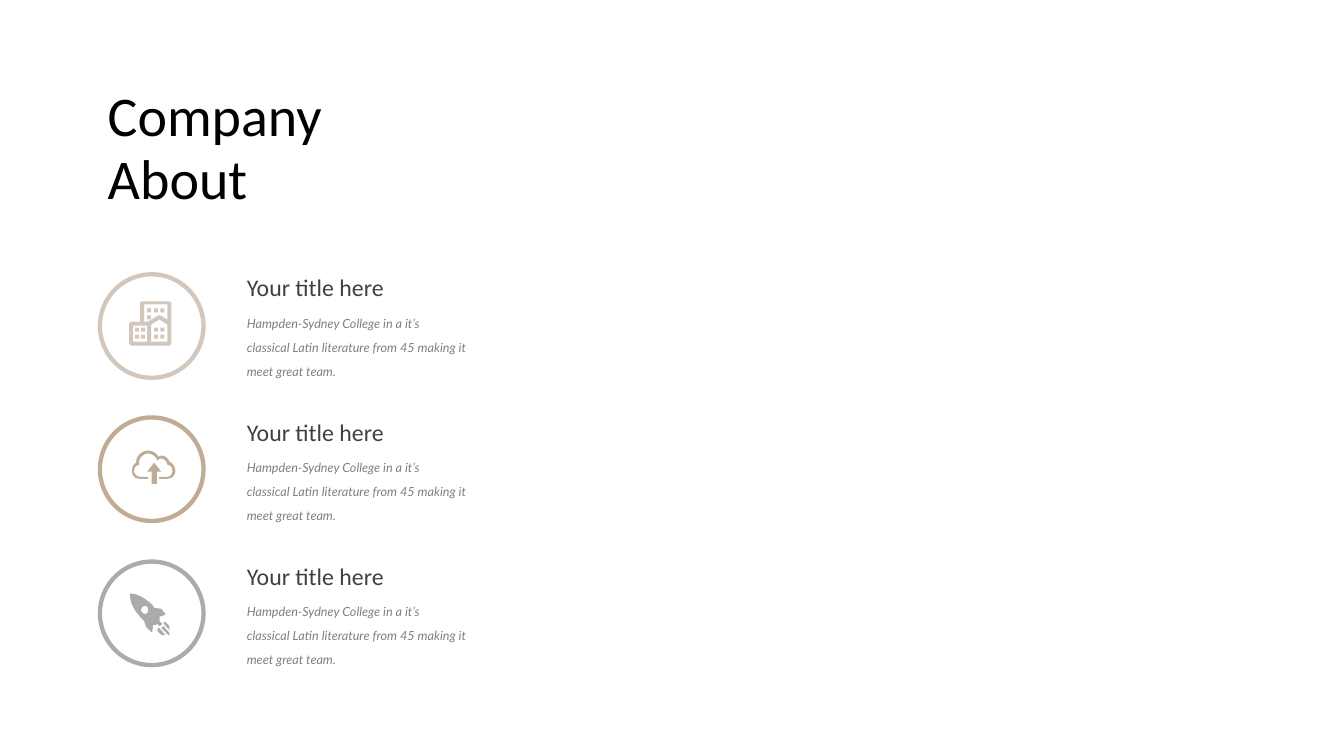
from dataclasses import dataclass
from itertools import product

from pptx import Presentation
from pptx.dml.color import RGBColor as RGB
from pptx.enum.shapes import MSO_SHAPE as SHAPE
from pptx.enum.text import MSO_AUTO_SIZE as FIT
from pptx.util import Inches, Pt


@dataclass(frozen=True)
class Theme:
    head: tuple = ("Calibri", 40, "000000")
    label: tuple = ("Calibri", 17, "404040")
    body: tuple = ("Lato", 9, "808080")
    sand: str = "D2C7BC"
    tan: str = "C0AB96"
    gray: str = "ABACAA"


def trace(line):
    """Turn a line of points (2 numbers) and curves (6 numbers) into points."""
    dots = [line[0]]
    for part in line[1:]:
        if len(part) == 2:
            dots.append(part)
            continue
        x, y = dots[-1]
        a, b, c, d, e, f = part
        for step in range(1, 9):
            t = step / 8
            u = 1 - t
            w = (u ** 3, 3 * u * u * t, 3 * u * t * t, t ** 3)
            dots.append((w[0] * x + w[1] * a + w[2] * c + w[3] * e,
                         w[0] * y + w[1] * b + w[2] * d + w[3] * f))
    return [(Inches(x), Inches(y)) for x, y in dots]


class Board:
    def __init__(self, slide, theme):
        self.slide = slide
        self.theme = theme

    def paint(self, shape, color):
        shape.shadow.inherit = False
        shape.fill.solid()
        shape.fill.fore_color.rgb = RGB.from_string(color)
        shape.line.fill.background()

    def shape(self, kind, box, color, *adjust):
        item = self.slide.shapes.add_shape(kind, *map(Inches, box))
        for i, value in enumerate(adjust):
            item.adjustments[i] = value
        self.paint(item, color)

    def free(self, lines, color):
        first, *rest = map(trace, lines)
        build = self.slide.shapes.build_freeform(*first[0])
        build.add_line_segments(first[1:])
        for dots in rest:
            build.move_to(*dots[0])
            build.add_line_segments(dots[1:])
        self.paint(build.convert_to_shape(), color)

    def text(self, box, lines, style, space=None, slant=False):
        frame = self.slide.shapes.add_textbox(*map(Inches, box)).text_frame
        frame.word_wrap = True
        frame.auto_size = FIT.SHAPE_TO_FIT_TEXT
        frame.text = "\n".join(lines)
        name, size, color = style
        for para in frame.paragraphs:
            font = para.font
            font.name, font.size, font.italic = name, Pt(size), slant
            font.color.rgb = RGB.from_string(color)
            if space:
                para.line_spacing = Pt(space)


# Icon outlines, in inches on the slide
HOUSES = [
    [(1.68, 2.99), (1.41, 2.99), (1.39, 3), (1.39, 3.19), (1.3, 3.19),
     (1.28, 3.21), (1.28, 3.41), (1.3, 3.43), (1.68, 3.43), (1.7, 3.41),
     (1.7, 3), (1.68, 2.99)],
    [(1.43, 3.02), (1.66, 3.02), (1.66, 3.17), (1.59, 3.13), (1.57, 3.13),
     (1.47, 3.19), (1.43, 3.19), (1.43, 3.02)],
    [(1.32, 3.23), (1.46, 3.23), (1.46, 3.39), (1.32, 3.39), (1.32, 3.23)],
    [(1.66, 3.39), (1.5, 3.39), (1.5, 3.22), (1.58, 3.17), (1.66, 3.22),
     (1.66, 3.39)],
]
PANES = [*product((1.34, 1.4, 1.53, 1.59), (3.25, 3.32)),
         *product((1.46, 1.53, 1.59), (3.06,)), (1.46, 3.13)]
CLOUD = [[
    (1.68, 4.58), (1.67, 4.55, 1.64, 4.52, 1.6, 4.52),
    (1.59, 4.52, 1.58, 4.53, 1.57, 4.53), (1.55, 4.49, 1.51, 4.47, 1.47, 4.47),
    (1.41, 4.47, 1.35, 4.52, 1.35, 4.59), (1.32, 4.61, 1.31, 4.64, 1.31, 4.67),
    (1.31, 4.72, 1.34, 4.75, 1.39, 4.75), (1.47, 4.75), (1.47, 4.73),
    (1.39, 4.73), (1.36, 4.73, 1.33, 4.7, 1.33, 4.67),
    (1.33, 4.64, 1.35, 4.62, 1.38, 4.61), (1.38, 4.59),
    (1.38, 4.54, 1.42, 4.5, 1.47, 4.5), (1.51, 4.5, 1.55, 4.53, 1.56, 4.57),
    (1.57, 4.56, 1.58, 4.55, 1.6, 4.55), (1.63, 4.55, 1.66, 4.58, 1.66, 4.61),
    (1.69, 4.61, 1.71, 4.64, 1.71, 4.67), (1.71, 4.7, 1.69, 4.73, 1.66, 4.73),
    (1.58, 4.73), (1.58, 4.75), (1.66, 4.75),
    (1.7, 4.75, 1.74, 4.72, 1.74, 4.67), (1.74, 4.63, 1.71, 4.59, 1.68, 4.58),
]]
ROCKET = [
    [(1.43, 6.16), (1.45, 6.22), (1.5, 6.27), (1.51, 6.27), (1.52, 6.2),
     (1.54, 6.2, 1.55, 6.2, 1.56, 6.19), (1.58, 6.21), (1.59, 6.21),
     (1.61, 6.19), (1.58, 6.16), (1.58, 6.16, 1.59, 6.15, 1.58, 6.12),
     (1.64, 6.1), (1.64, 6.09), (1.6, 6.04), (1.53, 6.03),
     (1.52, 6.01, 1.51, 6, 1.5, 5.99), (1.41, 5.91, 1.34, 5.89, 1.31, 5.89),
     (1.29, 5.89), (1.29, 5.9), (1.29, 5.9, 1.28, 6, 1.39, 6.12),
     (1.43, 6.16)],
    [(1.44, 6.09), (1.42, 6.09, 1.4, 6.07, 1.4, 6.05),
     (1.4, 6.03, 1.42, 6.01, 1.44, 6.01), (1.46, 6.01, 1.47, 6.03, 1.47, 6.05),
     (1.47, 6.07, 1.46, 6.09, 1.44, 6.09)],
]
FLAMES = [
    [(1.58, 6.23), (1.57, 6.23), (1.56, 6.25), (1.56, 6.26), (1.6, 6.3),
     (1.64, 6.3), (1.58, 6.23)],
    [(1.62, 6.21), (1.6, 6.23), (1.67, 6.3), (1.68, 6.3), (1.68, 6.28),
     (1.62, 6.21)],
    [(1.68, 6.21), (1.64, 6.17), (1.63, 6.17), (1.62, 6.18), (1.68, 6.25),
     (1.68, 6.21)],
]


def main():
    deck = Presentation()
    deck.slide_width, deck.slide_height = Inches(13.33), Inches(7.5)
    theme = Theme()
    board = Board(deck.slides.add_slide(deck.slide_layouts[6]), theme)

    # Heading
    board.text((0.97, 0.79, 4.38, 1.36), ["Company", "About"], theme.head, 45)

    # Rings with their texts
    rings = ((2.7, theme.sand), (4.12, theme.tan), (5.55, theme.gray))
    for row, (top, color) in enumerate(rings):
        drop = 1.43 * row
        board.shape(SHAPE.DONUT, (0.97, top, 1.07, 1.07), color, 0.04)
        board.text((2.35, 2.66 + drop, 2.6, 0.39), ["Your title here"],
                   theme.label)
        board.text((2.35, 3 + drop, 2.6, 0.78),
                   ["Hampden-Sydney College in a it’s",
                    "classical Latin literature from 45 making it "
                    "meet great team."], theme.body, 17, True)

    # Houses
    board.free(HOUSES, theme.sand)
    for x, y in PANES:
        board.shape(SHAPE.RECTANGLE, (x, y, 0.04, 0.04), theme.sand)

    # Cloud with arrow
    board.free(CLOUD, theme.tan)
    board.shape(SHAPE.UP_ARROW, (1.46, 4.59, 0.14, 0.21), theme.tan, 0.36, 0.64)

    # Rocket
    board.free(ROCKET, theme.gray)
    for flame in FLAMES:
        board.free([flame], theme.gray)

    deck.save("out.pptx")


if __name__ == "__main__":
    main()
